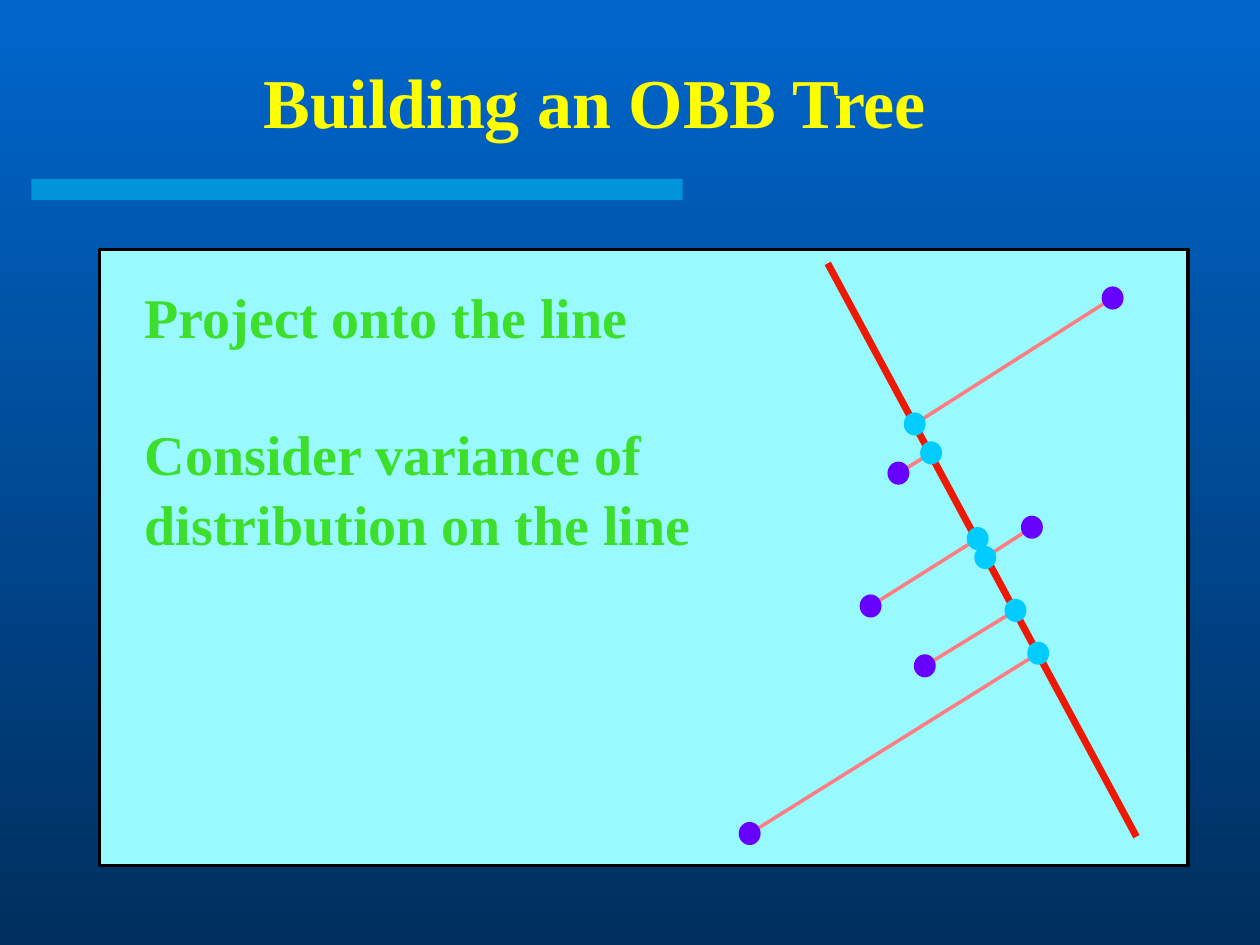
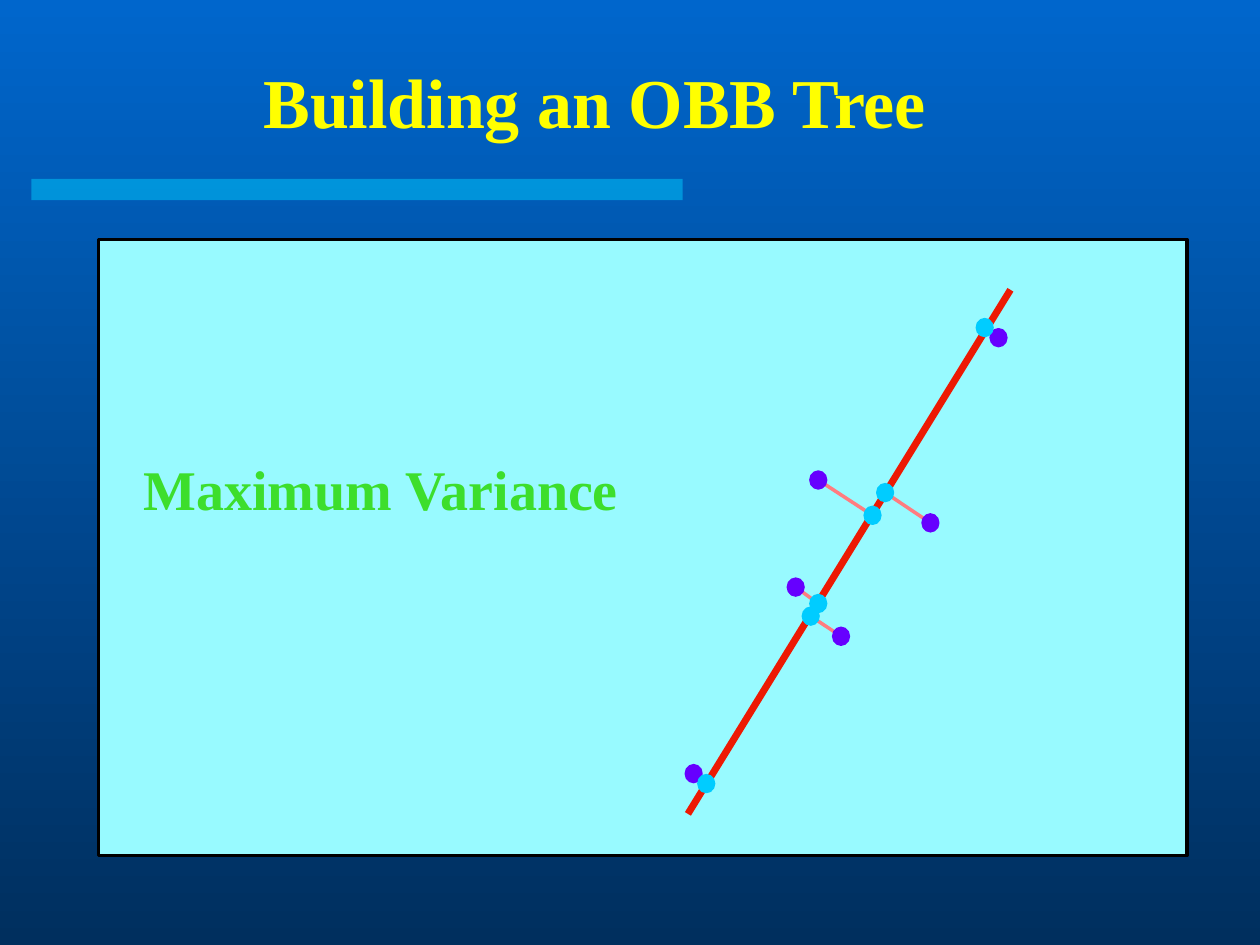
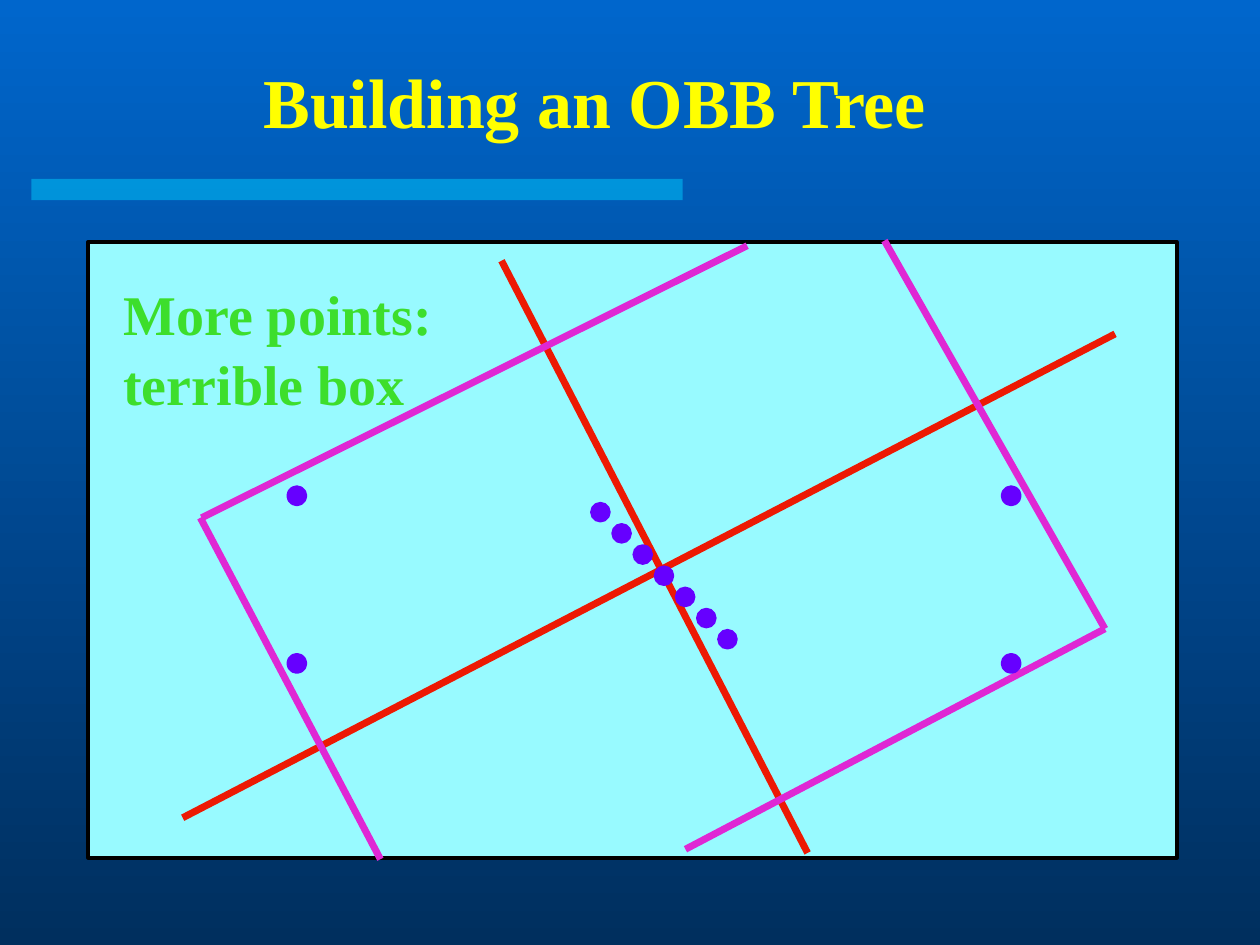
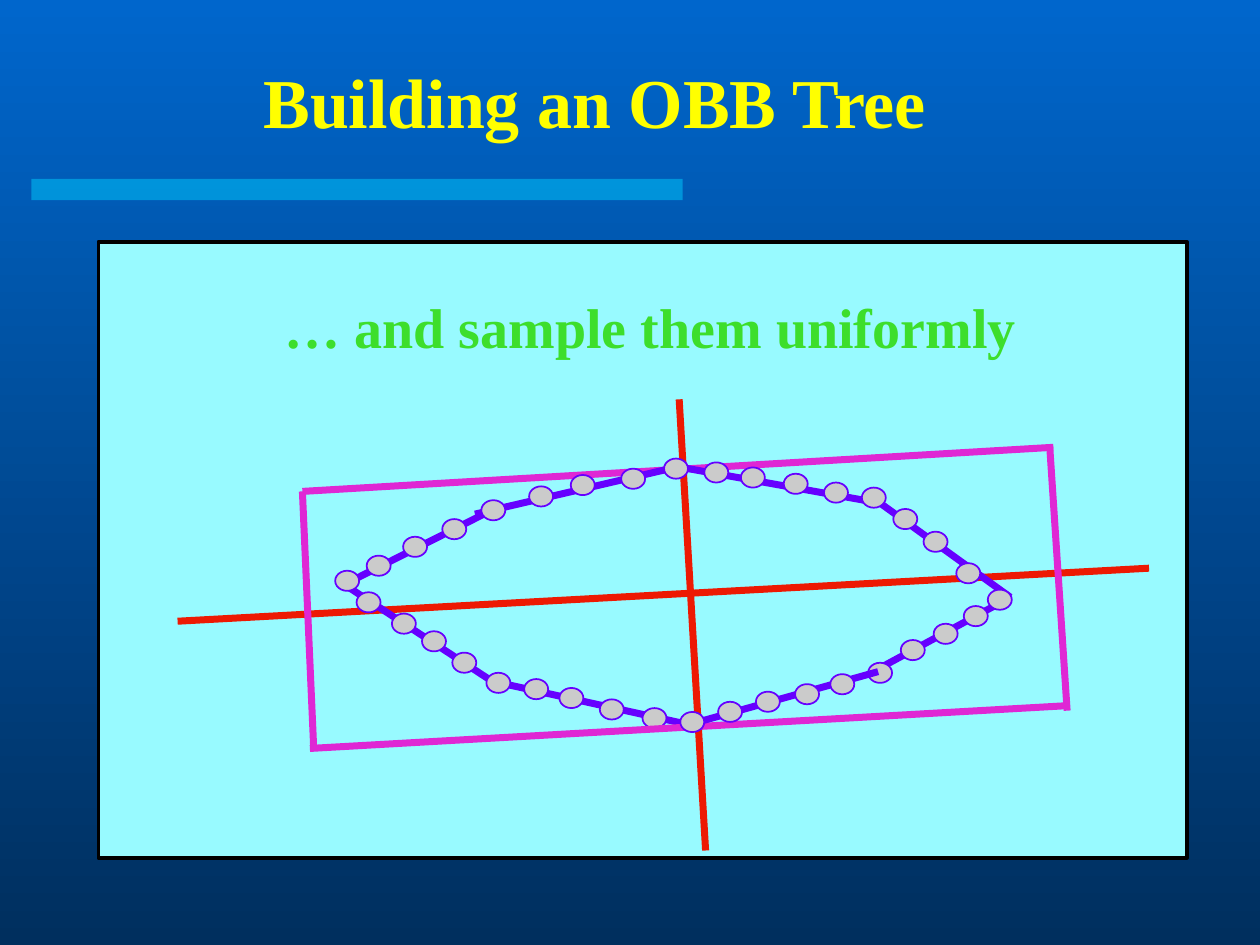
from math import dist

from lxml import etree
from pptx import Presentation
from pptx.dml.color import RGBColor
from pptx.enum.shapes import MSO_CONNECTOR, MSO_SHAPE
from pptx.enum.text import MSO_ANCHOR, MSO_AUTO_SIZE, PP_ALIGN
from pptx.oxml.ns import qn
from pptx.util import Pt

RECTANGLE, ELLIPSE = MSO_SHAPE.RECTANGLE, MSO_SHAPE.OVAL
STRAIGHT = MSO_CONNECTOR.STRAIGHT
TOP, MIDDLE = MSO_ANCHOR.TOP, MSO_ANCHOR.MIDDLE
LEFT, CENTER = PP_ALIGN.LEFT, PP_ALIGN.CENTER
NO_FIT, GROW = MSO_AUTO_SIZE.NONE, MSO_AUTO_SIZE.SHAPE_TO_FIT_TEXT

COLORS = {
    "sky": "0066CC", "deep": "002F5E", "band": "00CCFF", "title": "FFFF00",
    "panel": "98FAFF", "border": "000000", "caption": "3DDE2C",
    "point": "6600FF", "foot": "00CCFF", "link": "FF7C80",
    "axis": "ED1903", "box": "DF27D4", "sample": "CBCBCB",
}
RGB = {name: RGBColor.from_string(value) for name, value in COLORS.items()}
FONT = "Times New Roman"
TITLE = "Building an OBB Tree"
TITLE_AREA = (20.9, 23, 637.9, 67)
BAND_AREA = (18, 102.2, 372.2, 12.2)
PANEL_SIZE = (622.1, 352.1)
LINE_SPACING = 1.04
AXIS_WIDTH = 4


def add_box(page, kind, area, fill, line=None, line_width=1):
    box = page.shapes.add_shape(kind, *map(Pt, area))
    box.shadow.inherit = False
    box.fill.solid()
    box.fill.fore_color.rgb = RGB[fill]
    if line:
        box.line.color.rgb = RGB[line]
        box.line.width = Pt(line_width)
    else:
        box.line.fill.background()
    return box


def add_text(page, area, lines, size, color, align, anchor, wrap, fit):
    """Write (text, space before) pairs as bold paragraphs."""
    frame = page.shapes.add_textbox(*map(Pt, area)).text_frame
    frame.word_wrap = wrap
    frame.auto_size = fit
    frame.vertical_anchor = anchor
    frame.text = "\n".join(text for text, _ in lines)
    for para, (_, gap) in zip(frame.paragraphs, lines):
        para.alignment = align
        para.line_spacing = LINE_SPACING
        if gap:
            para.space_before = Pt(gap)
        for span in para.runs:
            span.font.name = FONT
            span.font.size = Pt(size)
            span.font.bold = True
            span.font.color.rgb = RGB[color]


# Layers run from back to front:
#   ("lines", color, width, [(x1, y1, x2, y2), ...])
#   ("dots", fill, line, line width, (width, height), [(center x, center y), ...])
slides = []

# Slides 1 and 2: each point is paired with its foot on the axis
projections = [
    {
        "panel": (56.9, 142.6),
        "caption_area": (75.6, 156.2, 326.9, 161.3),
        "caption": [("Project onto the line", 0), ("Consider variance of", 38.4),
                    ("distribution on the line", 0)],
        "axis": (473, 150.5, 649.4, 478.1),
        "dot": (11.5, 12.2),
        "pairs": [
            ((635.8, 170.3), (522.7, 242.3)), ((513.4, 270.4), (532.1, 258.8)),
            ((589.7, 301.3), (563, 318.6)), ((497.5, 346.3), (558.7, 307.8)),
            ((528.5, 380.5), (580.3, 348.8)), ((428.4, 476.3), (593.3, 373.3)),
        ],
    },
    {
        "panel": (56.2, 136.8),
        "caption_area": (74.9, 254.9, 289.4, 45.4),
        "caption": [("Maximum Variance", 0)],
        "axis": (393.1, 465.1, 577.4, 165.6),
        "dot": (9.4, 10.1),
        "pairs": [
            ((570.6, 193), (562.7, 187.2)), ((467.6, 274.3), (498.6, 294.5)),
            ((531.7, 298.8), (505.8, 281.5)), ((454.7, 335.5), (467.6, 344.9)),
            ((480.6, 363.6), (463.3, 352.1)), ((396.4, 442.1), (403.6, 447.8)),
        ],
    },
]
for projection in projections:
    pairs, dot = projection["pairs"], projection["dot"]
    # Dots that touch need no link
    links = [point + foot for point, foot in pairs if dist(point, foot) > 12]
    layers = [
        ("lines", "link", 2, links),
        ("dots", "point", "point", 1, dot, [point for point, _ in pairs]),
        ("lines", "axis", AXIS_WIDTH, [projection["axis"]]),
        ("dots", "foot", "foot", 1, dot, [foot for _, foot in pairs]),
    ]
    slides.append((projection["panel"], projection["caption_area"],
                   projection["caption"], layers))

# Slide 3: a diagonal row of points and four far corners
corner_points = [(x, y) for x in (169.6, 577.8) for y in (283.3, 379.1)]
row_points = [(343.1 + 12.1 * i, 292.7 + 12.1 * i) for i in range(7)]
slides.append((
    (50.4, 138.2), (63.4, 154.8, 191.5, 84.2),
    [("More points:", 0), ("terrible box", 0)],
    [
        ("lines", "axis", AXIS_WIDTH,
         [(286.6, 149, 461.5, 487.4), (637.2, 190.8, 104.4, 467.3)]),
        ("dots", "point", "point", 1, (10.8, 10.8), row_points),
        ("lines", "box", 4,
         [(115.2, 295.9, 427, 140.4), (114.5, 295.9, 217.4, 491),
          (391.7, 485.3, 631.4, 359.3), (505.4, 137.5, 631.4, 359.3)]),
        ("dots", "point", "point", 4, (7.9, 7.9), corner_points),
    ],
))

# Slide 4: samples along the hull, clockwise from the left tip
SAMPLE_SIZE = (13.7, 11.5)
upper_samples = [
    (198.4, 331.9), (216.4, 323.3), (237.2, 312.5), (259.6, 302.4),
    (281.9, 291.6), (309.2, 283.7), (333, 277.2), (361.8, 273.6),
    (386.3, 267.8), (409.3, 270), (430.2, 272.9), (454.7, 276.5),
    (477.7, 281.5), (499.3, 284.4), (517.3, 296.6), (534.6, 309.6),
    (553.3, 327.6), (571.3, 342.7),
]
lower_right_samples = [(557.6, 352.1), (540.4, 362.2), (521.6, 371.5), (502.9, 384.5)]
bottom_samples = [(481.3, 391), (461.2, 396.7), (438.8, 401), (417.2, 406.8),
                  (395.6, 412.6)]
lower_left_samples = [
    (374, 410.4), (349.6, 405.4), (326.5, 398.9), (306.4, 393.8),
    (284.8, 390.2), (265.3, 378.7), (248, 366.5), (230.8, 356.4),
    (210.6, 344.2),
]
hull_edges = [
    (200.9, 331.9, 276.5, 293.8), (282.2, 389.5, 390.2, 413.3),
    (271.4, 293.8, 383, 267.8), (195.8, 333.4, 279.4, 388.1),
    (381.6, 265.7, 501.8, 287.3), (499, 383.8, 577.4, 341.3),
    (494.6, 281.5, 577.4, 341.3),
]
slides.append((
    (56.2, 138.2), (155.5, 162, 432.7, 45.4),
    [("… and sample them uniformly", 0)],
    [
        ("lines", "box", 4, [(172.8, 280.8, 601.9, 255.6)]),
        ("lines", "axis", AXIS_WIDTH,
         [(388.1, 228.2, 403.2, 486), (101.5, 355, 656.6, 324.7)]),
        ("lines", "point", 4, hull_edges),
        ("dots", "sample", "point", 1, SAMPLE_SIZE,
         upper_samples + lower_right_samples + lower_left_samples),
        ("lines", "box", 4,
         [(172.8, 280.8, 179.3, 428.4), (177.1, 427.7, 610.6, 403.2),
          (599.8, 254.2, 609.8, 406.1)]),
        ("lines", "point", 4, [(393.8, 414, 501.8, 383.8)]),
        ("dots", "sample", "point", 1, SAMPLE_SIZE, bottom_samples),
    ],
))

deck = Presentation()
deck.slide_width, deck.slide_height = Pt(720), Pt(540)
backdrop = deck.slide_master.background.fill
backdrop.gradient()
backdrop.gradient_angle = 270
for stop, color in zip(backdrop.gradient_stops, ("sky", "deep")):
    stop.color.rgb = RGB[color]

for panel, caption_area, caption, layers in slides:
    page = deck.slides.add_slide(deck.slide_layouts[6])
    band = add_box(page, RECTANGLE, BAND_AREA, "band")
    band_color = band.fill._xPr.find(qn("a:solidFill"))[0]
    etree.SubElement(band_color, qn("a:alpha")).set("val", "50000")
    add_text(page, TITLE_AREA, [(TITLE, 0)], 40, "title", CENTER, MIDDLE, True, NO_FIT)
    add_box(page, RECTANGLE, panel + PANEL_SIZE, "panel", "border", 2)
    add_text(page, caption_area, caption, 32, "caption", LEFT, TOP, False, GROW)

    for kind, color, *details in layers:
        if kind == "lines":
            width, segments = details
            for segment in segments:
                line = page.shapes.add_connector(STRAIGHT, *map(Pt, segment))
                line.line.color.rgb = RGB[color]
                line.line.width = Pt(width)
                etree.SubElement(line._element.spPr, qn("a:effectLst"))
        else:
            outline, outline_width, (width, height), centers = details
            for x, y in centers:
                area = (x - width / 2, y - height / 2, width, height)
                add_box(page, ELLIPSE, area, color, outline, outline_width)

deck.save("out.pptx")
